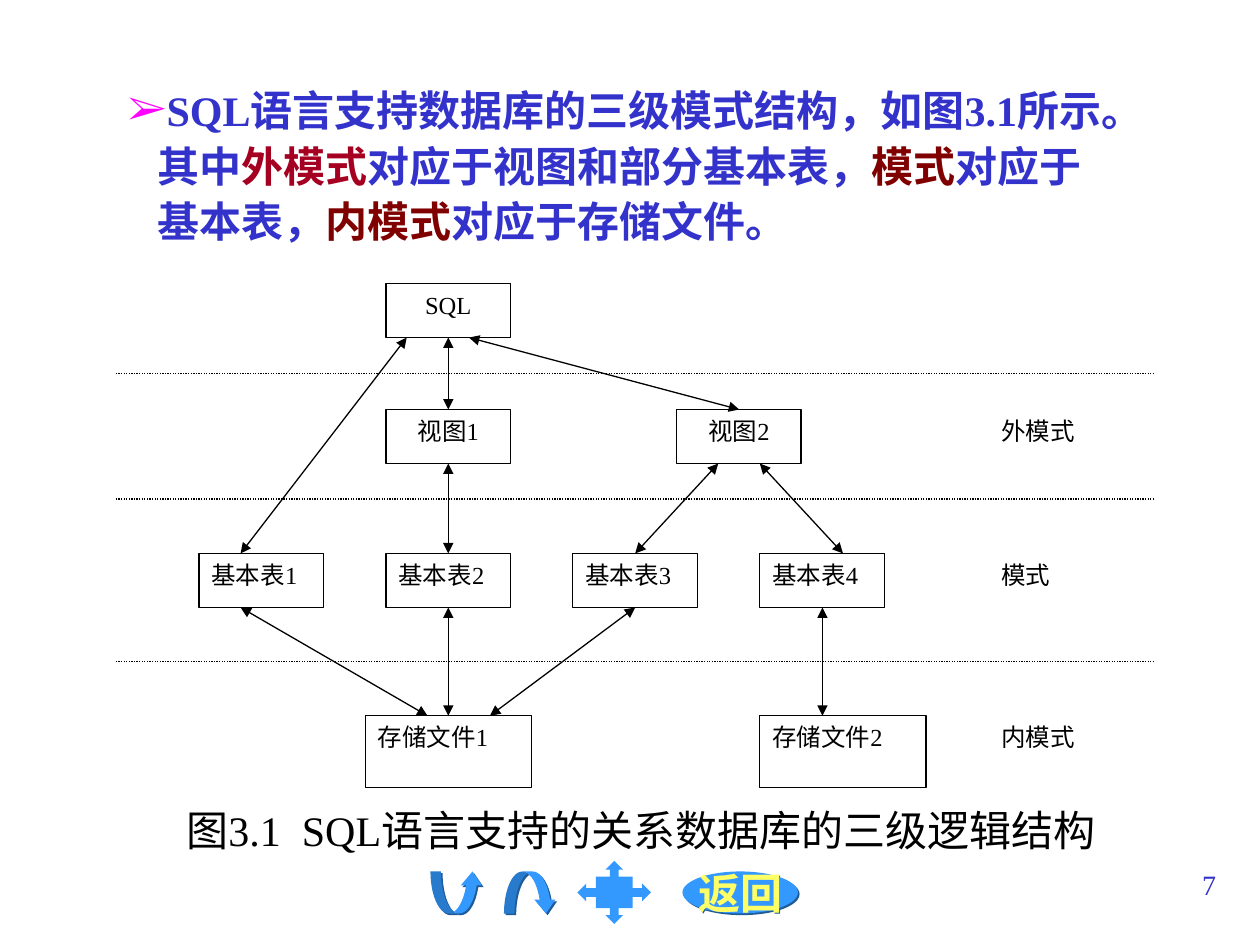
from dataclasses import dataclass

from lxml import etree
from pptx import Presentation
from pptx.dml.color import RGBColor
from pptx.enum import dml, shapes, text
from pptx.oxml.ns import qn
from pptx.util import Pt


@dataclass(frozen=True)
class Theme:
    font: str = "Times New Roman"
    body: int = 24
    diagram: int = 14
    page: int = 16
    ink: str = "000000"
    paper: str = "FFFFFF"
    blue: str = "3333CC"
    crimson: str = "A50021"
    maroon: str = "800000"
    bullet: str = "FF00FF"
    button: str = "3399FF"
    button_text: str = "FFFF66"
    button_shadow: str = "1E5B98"


theme = Theme()
rgb = RGBColor.from_string
align = text.PP_ALIGN


def write(shape, content, size, color=theme.ink, bold=False, alignment=align.LEFT,
          anchor=text.MSO_ANCHOR.TOP, wrap=True):
    """Fill a shape with a string or a list of (string, colour) runs."""
    frame = shape.text_frame
    frame.word_wrap = wrap
    frame.vertical_anchor = anchor
    paragraph = frame.paragraphs[0]
    paragraph.alignment = alignment
    for words, run_color in [(content, color)] if isinstance(content, str) else content:
        run = paragraph.add_run()
        run.text = words
        run.font.name = theme.font
        run.font.size = Pt(size)
        run.font.bold = bold
        run.font.color.rgb = rgb(run_color)
    return paragraph


def draw_line(x1, y1, x2, y2):
    line = slide.shapes.add_connector(
        shapes.MSO_CONNECTOR.STRAIGHT, Pt(x1), Pt(y1), Pt(x2), Pt(y2))
    line.line.color.rgb = rgb(theme.ink)
    line.line.width = Pt(0.75)
    etree.SubElement(line._element.spPr, qn("a:effectLst"))
    return line


deck = Presentation()
deck.slide_width, deck.slide_height = Pt(720), Pt(540)
slide = deck.slides.add_slide(deck.slide_layouts[6])

# Navigation buttons
preset = shapes.MSO_SHAPE
buttons = [
    (preset.CURVED_UP_ARROW, 246, 498, 30, 24, (0.25, 0.5, 0.33), True, ""),
    (preset.CURVED_DOWN_ARROW, 288, 498, 30, 24, (0.25, 0.5, 0.33), True, ""),
    (preset.OVAL, 390, 498, 66, 24, (), True, "返回"),
    (preset.QUAD_ARROW_CALLOUT, 330, 492, 42, 36, (0.14, 0.14, 0.14, 0.5), False, ""),
]
for kind, x, y, width, height, adjustments, shadowed, caption in buttons:
    button = slide.shapes.add_shape(kind, Pt(x), Pt(y), Pt(width), Pt(height))
    button.fill.solid()
    button.fill.fore_color.rgb = rgb(theme.button)
    button.line.fill.background()
    button.shadow.inherit = False
    for index, value in enumerate(adjustments):
        button.adjustments[index] = value
    if shadowed:
        effects = button._element.spPr.find(qn("a:effectLst"))
        shadow = etree.SubElement(effects, qn("a:outerShdw"), dist=str(Pt(1.4)),
                                  dir="2700000", algn="ctr", rotWithShape="0")
        etree.SubElement(shadow, qn("a:srgbClr"), val=theme.button_shadow)
    if caption:
        write(button, caption, theme.body, theme.button_text, bold=True,
              alignment=align.CENTER, anchor=text.MSO_ANCHOR.MIDDLE, wrap=False)

# Diagram grid
column = [113.75 + 106.8 * i for i in range(4)]
sql_y, view_y, table_y, file_y = 162, 234, 316.25, 409
box_w, box_h = 71.25, 30.9
file_w, file_h = 95, 41.2
label_x = 565.2
sql_end, view_end, table_end = (y + box_h for y in (sql_y, view_y, table_y))

boxes = [
    ("SQL", column[1], sql_y, box_w, box_h, align.CENTER, True),
    ("视图1", column[1], view_y, box_w, box_h, align.CENTER, True),
    ("视图2", 386.6, view_y, box_w, box_h, align.CENTER, True),
    *[(f"基本表{i}", x, table_y, box_w, box_h, align.JUSTIFY, True)
      for i, x in enumerate(column, 1)],
    ("存储文件1", 208.7, file_y, file_w, file_h, align.JUSTIFY, True),
    ("存储文件2", column[3], file_y, file_w, file_h, align.JUSTIFY, True),
    ("外模式", label_x, view_y, 83, file_h, align.JUSTIFY, False),
    ("模式", label_x, table_y, 83, file_h, align.JUSTIFY, False),
    ("内模式", label_x, file_y, 71.25, file_h, align.JUSTIFY, False),
]
for name, x, y, width, height, alignment, outlined in boxes:
    box = slide.shapes.add_shape(preset.RECTANGLE, Pt(x), Pt(y), Pt(width), Pt(height))
    box.shadow.inherit = False
    box.fill.solid()
    box.fill.fore_color.rgb = rgb(theme.paper)
    if outlined:
        box.line.color.rgb = rgb(theme.ink)
        box.line.width = Pt(0.75)
    else:
        box.line.fill.background()
    write(box, name, theme.diagram, alignment=alignment)

middle = column[1] + box_w / 2
links = [
    (232.4, sql_end, 137.5, table_y),
    (middle, sql_end, middle, view_y),
    (268, sql_end, 422.4, view_y),
    (middle, view_end, middle, table_y),
    (410.4, view_end, 363, table_y),
    (434.2, view_end, 481.7, table_y),
    (middle, table_end, middle, file_y),
    (137.5, table_end, 244.3, file_y),
    (280, file_y, 363, table_end),
    (470, table_end, 470, file_y),
]
for ends in links:
    outline = draw_line(*ends).line._get_or_add_ln()
    for end in ("a:headEnd", "a:tailEnd"):
        etree.SubElement(outline, qn(end), type="triangle")

for y in (213.3, 285.2, 377.9):
    draw_line(66.2, y, 660, y).line.dash_style = dml.MSO_LINE.ROUND_DOT

# Caption, statement and page number
caption = slide.shapes.add_textbox(Pt(99.4), Pt(456), Pt(557), Pt(36))
write(caption, "图3.1  SQL语言支持的关系数据库的三级逻辑结构", theme.body, wrap=False)

statement = slide.shapes.add_textbox(Pt(66), Pt(42), Pt(582), Pt(102))
paragraph = write(statement, [
    ("SQL语言支持数据库的三级模式结构，如图3.1所示。其中", theme.blue),
    ("外模式", theme.crimson),
    ("对应于视图和部分基本表，", theme.blue),
    ("模式", theme.maroon),
    ("对应于基本表，", theme.blue),
    ("内模式", theme.maroon),
    ("对应于存储文件。", theme.blue),
], theme.body, bold=True)
paragraph.line_spacing = 1.1
properties = paragraph._p.get_or_add_pPr()
properties.set("marL", str(Pt(17)))
properties.set("indent", str(-Pt(17)))
bullet_color = etree.SubElement(properties, qn("a:buClr"))
etree.SubElement(bullet_color, qn("a:srgbClr"), val=theme.bullet)
etree.SubElement(properties, qn("a:buFont"), typeface=theme.font)
etree.SubElement(properties, qn("a:buChar"), char="➢")

page_number = slide.shapes.add_textbox(Pt(552), Pt(492), Pt(150), Pt(36))
write(page_number, "7", theme.page, theme.blue, alignment=align.RIGHT)

deck.save("out.pptx")
